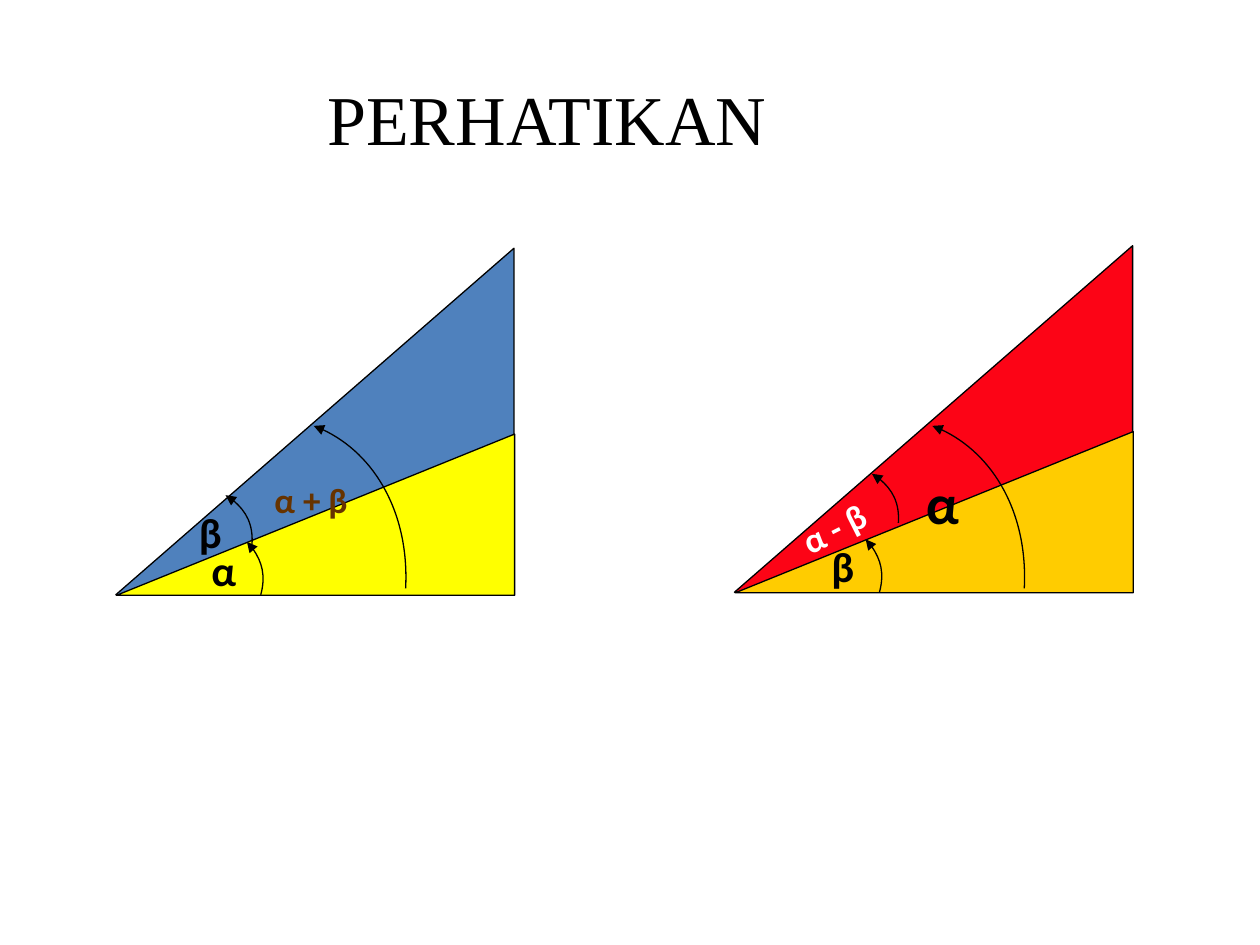
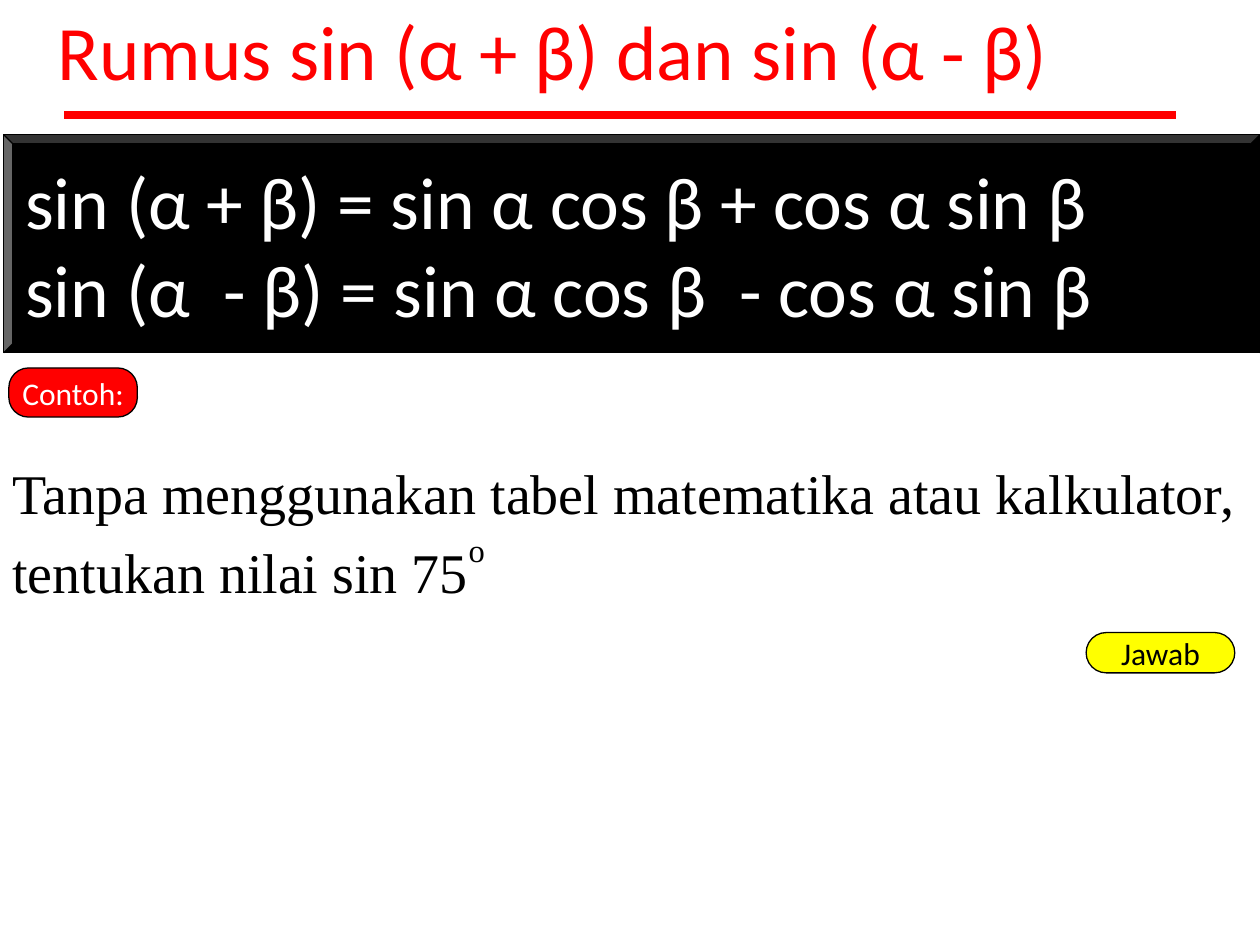
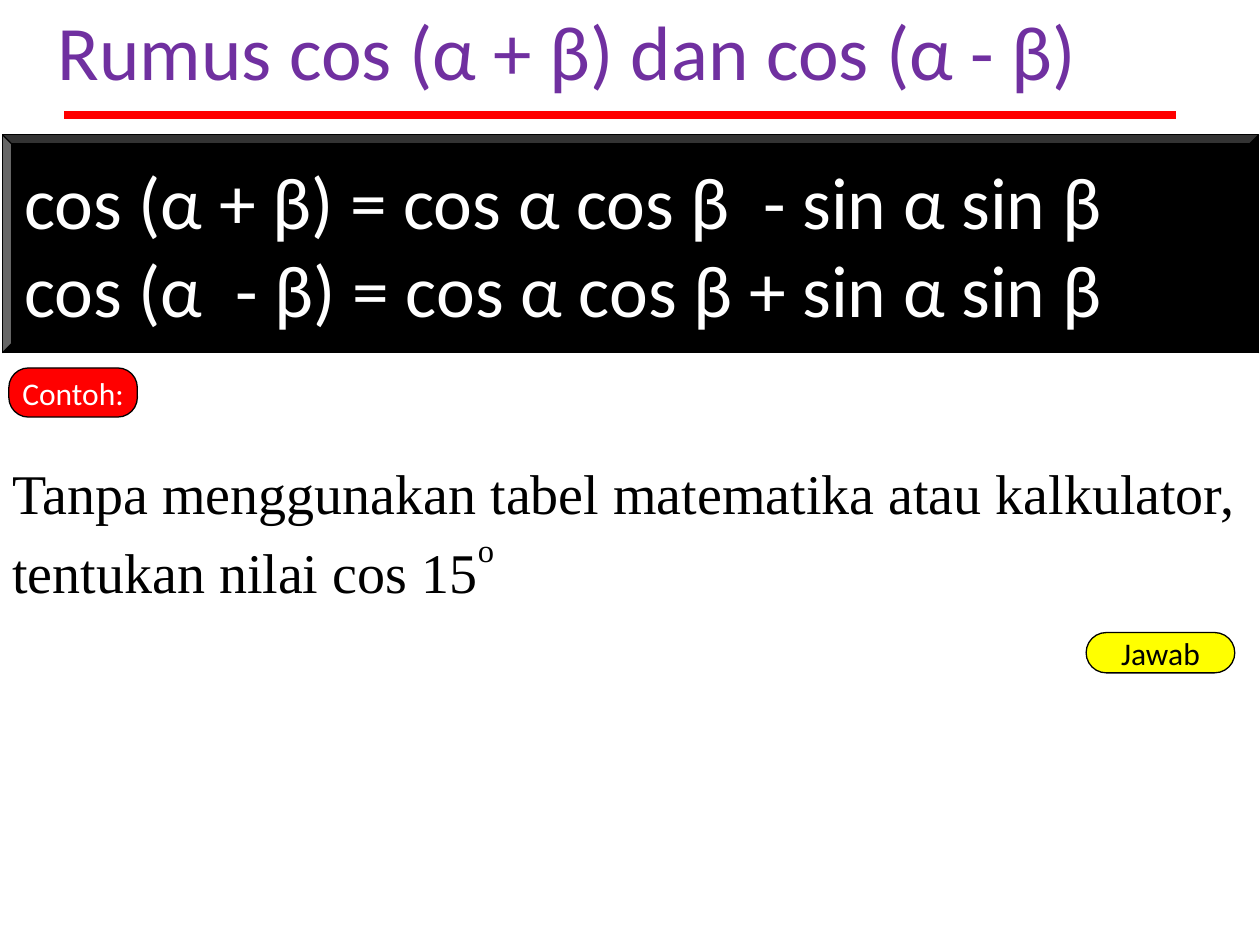
from dataclasses import dataclass

from lxml.etree import SubElement
from pptx import Presentation
from pptx.dml.color import RGBColor
from pptx.enum.shapes import MSO_CONNECTOR as Connector, MSO_SHAPE as Preset
from pptx.enum.text import MSO_ANCHOR as Anchor, MSO_AUTO_SIZE as AutoSize, PP_ALIGN as Align
from pptx.oxml.ns import qn
from pptx.util import Inches, Pt

COLUMNS, ROWS = 100, 75
WIDTH, HEIGHT = Inches(10), Inches(7.5)


@dataclass(frozen=True)
class Theme:
    sans: str = "Calibri"
    serif: str = "Times New Roman"
    black: str = "000000"
    white: str = "FFFFFF"
    red: str = "FF0000"
    purple: str = "7030A0"
    yellow: str = "FFFF00"
    blue: str = "4F81BD"
    crimson: str = "FC0416"
    amber: str = "FFCC00"
    brown: str = "663300"
    heading: int = 44
    formula: int = 42
    opening: int = 40
    question: int = 32
    button: int = 18
    thin: float = 0.75
    thick: float = 4.5


THEME = Theme()

LOW_ARC = [(0.4, -1.5), (0, -3.1), (-1.1, -4.2)]
HIGH_ARC = [(0.1, -1.6), (-0.7, -3.1), (-2.1, -3.9)]
WIDE_ARC = [(0.3, -5.9), (-2.7, -11.2), (-7.3, -12.9)]


def col(number):
    return round(WIDTH * number / COLUMNS)


def row(number):
    return round(HEIGHT * number / ROWS)


def grid(left, top, width, height):
    return col(left), row(top), col(width), row(height)


def rgb(code):
    return RGBColor.from_string(code)


def outline(item, color=THEME.black, width=THEME.thin):
    item.line.color.rgb = rgb(color)
    item.line.width = Pt(width)


def style_text(frame, size, color, font=THEME.sans, bold=False, align=Align.LEFT):
    for paragraph in frame.paragraphs:
        paragraph.alignment = align
        for run in paragraph.runs:
            run.font.name = font
            run.font.size = Pt(size)
            run.font.bold = bold
            run.font.color.rgb = rgb(color)


def add_label(shapes, text, area, size, color, rotation=0, **style):
    label = shapes.add_textbox(*grid(*area))
    label.rotation = rotation
    frame = label.text_frame
    frame.word_wrap = True
    frame.auto_size = AutoSize.SHAPE_TO_FIT_TEXT
    frame.text = text
    style_text(frame, size, color, **style)
    return frame


def add_block(shapes, preset, area, fill, adjustment=None):
    block = shapes.add_shape(preset, *grid(*area))
    block.shadow.inherit = False
    block.fill.solid()
    block.fill.fore_color.rgb = rgb(fill)
    outline(block)
    if adjustment is not None:
        block.adjustments[0] = adjustment
    return block


def add_panel(shapes, preset, area, fill, adjustment, text, size, color, align):
    frame = add_block(shapes, preset, area, fill, adjustment).text_frame
    frame.word_wrap = False
    frame.vertical_anchor = Anchor.MIDDLE
    frame.text = text
    style_text(frame, size, color, align=align)


def add_wedge(shapes, area, fill):
    wedge = add_block(shapes, Preset.RIGHT_TRIANGLE, area, fill)
    wedge.element.spPr.get_or_add_xfrm().set("flipH", "1")


def add_angle(shapes, start, bends):
    x, y = start
    builder = shapes.build_freeform(col(x), row(y))
    builder.add_line_segments([(col(x + dx), row(y + dy)) for dx, dy in bends], close=False)
    angle = builder.convert_to_shape()
    angle.shadow.inherit = False
    angle.fill.background()
    outline(angle)
    contour = next(angle.element.iter(qn("a:path")))
    curve = SubElement(contour, qn("a:cubicBezTo"))
    for segment in contour.findall(qn("a:lnTo")):
        curve.append(segment[0])
        contour.remove(segment)
    SubElement(angle.line._get_or_add_ln(), qn("a:tailEnd"), type="triangle")


def add_figure(shapes, apex, upper_fill, lower_fill, angles, labels):
    x, y = apex
    add_wedge(shapes, (x, y - 27.5, 31.6, 27.5), upper_fill)
    add_wedge(shapes, (x + 0.05, y - 12.75, 31.6, 12.8), lower_fill)
    for start, bends in angles:
        add_angle(shapes, start, bends)
    for text, area, size, color, rotation in labels:
        add_label(shapes, text, area, size, color, rotation, bold=True)


def add_opening_slide(deck):
    shapes = deck.slides.add_slide(deck.slide_layouts[6]).shapes
    add_figure(
        shapes, (9.2, 47.2), THEME.blue, THEME.yellow,
        [((20.7, 47.2), LOW_ARC), ((20, 43.2), HIGH_ARC), ((32.2, 46.7), WIDE_ARC)],
        [("α", (15.8, 42.7, 6.7, 5), 24, THEME.black, 0),
         ("α + β", (20.8, 37.5, 10, 4.3), 20, THEME.brown, 0),
         ("β", (14.8, 39.7, 6.7, 5), 24, THEME.black, 0)],
    )
    add_figure(
        shapes, (58.3, 47), THEME.crimson, THEME.amber,
        [((69.8, 47), LOW_ARC), ((71.3, 41.5), HIGH_ARC), ((81.3, 46.7), WIDE_ARC)],
        [("α", (72.5, 36.7, 6.7, 6.3), 32, THEME.black, 0),
         ("α - β", (62.4, 39.1, 10, 4.3), 20, THEME.white, 333.3),
         ("β", (65, 42.4, 6.7, 5), 24, THEME.black, 0)],
    )
    add_label(shapes, "PERHATIKAN", (18, 5.5, 50.8, 7.7), THEME.opening, THEME.black,
              font=THEME.serif, align=Align.CENTER)


def add_heading(shapes, text, color):
    heading = shapes.add_group_shape().shapes
    add_label(heading, text, (3.6, -0.2, 100, 8.3), THEME.heading, color)
    rule = heading.add_connector(Connector.STRAIGHT, col(5.1), row(9.1), col(93.3), row(9.1))
    outline(rule, THEME.red, THEME.thick)
    SubElement(rule.element.spPr, qn("a:effectLst"))


def add_question(shapes, expression):
    text = f"Tanpa menggunakan tabel matematika atau kalkulator, tentukan nilai {expression}"
    frame = add_label(shapes, text, (0, 35, 100, 13.5), THEME.question, THEME.black,
                      font=THEME.serif)
    sentence = frame.paragraphs[0]
    sentence.line_spacing = Pt(45)
    sentence.space_before = Pt(20)
    degree = sentence.add_run()
    degree.text = "o"
    style_text(frame, THEME.question, THEME.black, font=THEME.serif)
    degree.font._element.set("baseline", "55000")


def add_formula_slide(deck, heading, color, formulas, panel_left, expression):
    shapes = deck.slides.add_slide(deck.slide_layouts[6]).shapes
    add_panel(shapes, Preset.ROUNDED_RECTANGLE, (86.2, 50.2, 11.8, 3.2), THEME.yellow, 0.5,
              "Jawab", THEME.button, THEME.black, Align.CENTER)
    add_heading(shapes, heading, color)
    add_panel(shapes, Preset.BEVEL, (panel_left, 10.7, 99.7, 17.3), THEME.black, 0.042,
              "\n".join(formulas), THEME.formula, THEME.white, Align.LEFT)
    add_panel(shapes, Preset.ROUNDED_RECTANGLE, (0.7, 29.2, 10.2, 3.9), THEME.red, 0.4,
              "Contoh:", THEME.button, THEME.white, Align.CENTER)
    add_question(shapes, expression)


def main():
    deck = Presentation()
    deck.slide_width, deck.slide_height = WIDTH, HEIGHT
    add_opening_slide(deck)
    add_formula_slide(
        deck, "Rumus sin (α + β) dan sin (α - β)", THEME.red,
        ["sin (α + β) = sin α cos β + cos α sin β",
         "sin (α  - β) = sin α cos β  - cos α sin β"],
        0.3, "sin 75",
    )
    add_formula_slide(
        deck, "Rumus cos (α + β) dan cos (α - β)", THEME.purple,
        ["cos (α + β) = cos α cos β  - sin α sin β",
         "cos (α  - β) = cos α cos β + sin α sin β"],
        0.2, "cos 15",
    )
    deck.save("out.pptx")


if __name__ == "__main__":
    main()
